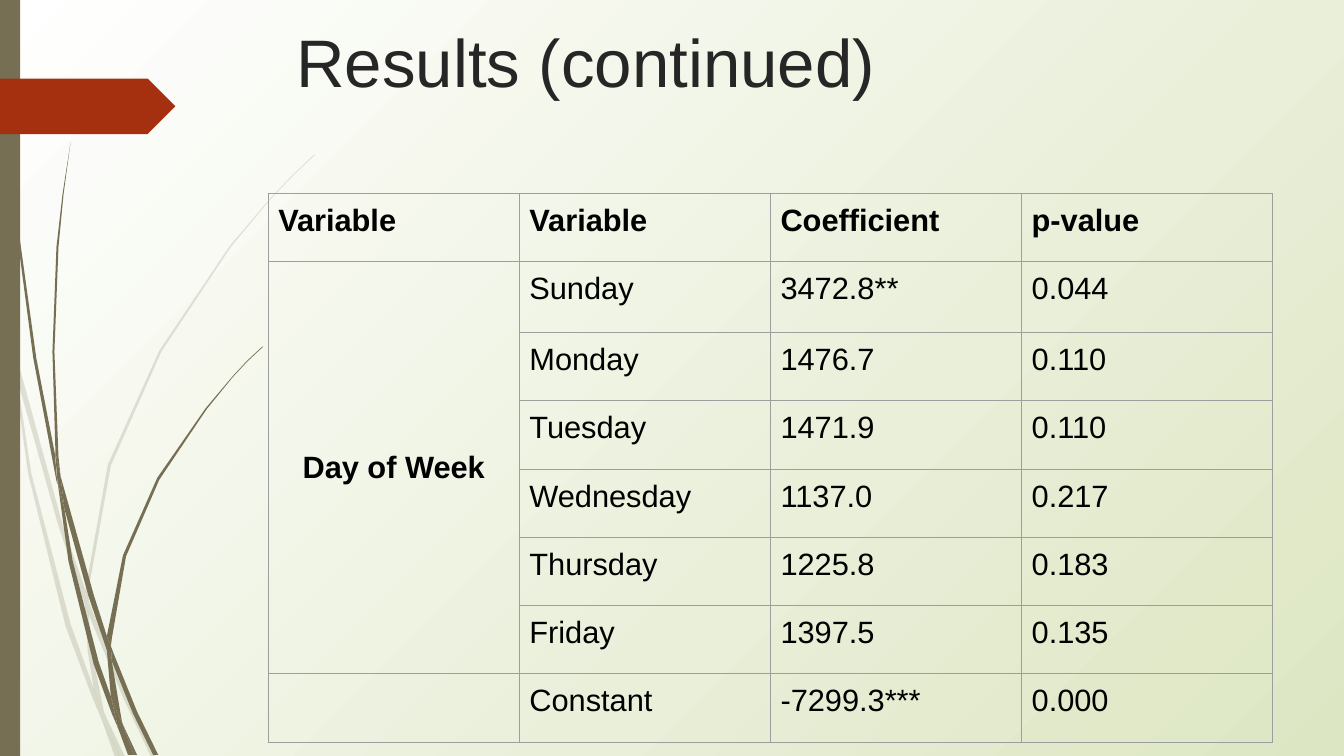
from lxml import etree
from pptx import Presentation
from pptx.dml.color import RGBColor
from pptx.enum.shapes import MSO_SHAPE
from pptx.enum.text import MSO_ANCHOR, PP_ALIGN
from pptx.oxml.ns import qn
from pptx.util import Emu, Inches, Pt

RECT, ARROW = MSO_SHAPE.RECTANGLE, MSO_SHAPE.PENTAGON
TOP, MIDDLE = MSO_ANCHOR.TOP, MSO_ANCHOR.MIDDLE
LEFT, CENTER = PP_ALIGN.LEFT, PP_ALIGN.CENTER
CELL = Inches(0.1)
OLIVE, RUST, GREY = "766F54", "A53010", "9E9E9E"

PALE = [
    [(1.1, 35), (0.9, 32.2), (0, 28.2), (0, 29.9), (1, 34.4)],
    [(5.8, 52.2), (8.4, 59.9), (8.5, 58.6), (6.2, 52), (1.4, 34.5), (1.7, 37.6)],
    [(9.2, 60.7), (8.8, 59.6), (8.8, 61), (12.3, 69.4), (15, 75.1), (15.5, 75.1),
     (12.7, 69.2)],
    [(11.9, 75.1), (12.4, 75.1), (10.5, 71.1)],
    [(9.3, 68.3), (7, 61.9), (3.1, 46.9), (1.7, 37.6), (1.1, 35), (2.8, 47),
     (6.5, 62.1), (9.2, 69.3), (10.1, 71.4), (9.9, 70.7)],
    [(8.4, 59.9), (8.7, 64.6), (9.3, 68.3), (9.6, 69.2), (10.5, 71.1),
     (10.3, 70.6), (9.1, 64.6), (8.8, 61), (8.8, 60.8)],
    [(8.8, 58.4), (11, 46.2), (16, 34.9), (22.9, 24.5), (26.8, 19.8), (29, 17.5),
     (31.2, 15.4), (31.2, 15.3), (28.9, 17.5), (26.8, 19.7), (22.8, 24.4),
     (15.8, 34.8), (10.7, 46.1), (8.5, 58.4), (8.5, 58.6), (8.8, 59.6)],
    [(10.1, 71.4), (11.4, 75.1), (11.9, 75.1)],
    [(8.8, 60.8), (8.8, 61), (8.8, 59.6), (8.5, 58.6), (8.4, 59.9)],
    [(9.6, 69.2), (9.3, 68.3), (9.9, 70.7), (10.1, 71.4), (11.9, 75.1), (10.5, 71.1)],
]
DARK = [
    [(0.7, 11), (1.7, 23.3), (3.3, 35.5), (5.6, 47.7), (5.7, 48.1), (5.5, 45.7),
     (5.5, 45.3), (3.6, 35.5), (1.9, 23.2), (0.8, 10.9), (0.5, 4.8), (0.4, 0),
     (0.3, 0), (0.4, 4.8)],
    [(8.8, 59.2), (10.6, 64.5), (10.6, 63.3), (10.6, 63.1), (9.3, 59), (6, 47.2),
     (6.4, 50.5)],
    [(11.3, 64.9), (11, 64.1), (11.1, 65.6), (13.2, 70.8), (15.2, 74.9),
     (15.7, 74.9), (13.6, 70.6)],
    [(11, 69.1), (9.8, 65.7), (7.2, 55.6), (6.4, 50.5), (5.7, 47.7), (6.8, 55.7),
     (9.3, 65.9), (11.1, 70.8), (11.7, 72.2), (11.6, 71.7)],
    [(6, 47.2), (5.8, 45.3), (5.4, 34.9), (5.8, 24.5), (6.3, 19.3), (7, 14.1),
     (6.2, 19.3), (5.6, 24.5), (5.2, 34.9), (5.5, 44.9)],
    [(13.3, 74.9), (13.6, 74.9), (12.2, 71.9)],
    [(5.7, 47.7), (6.4, 50.5), (6, 47.2), (5.5, 44.9), (5.5, 45.3)],
    [(11.1, 63.3), (12.5, 55.2), (15.8, 47.6), (20.5, 40.6), (23.1, 37.4),
     (24.5, 35.9), (26.1, 34.4), (26, 34.4), (24.5, 35.8), (23.1, 37.3),
     (20.4, 40.5), (15.6, 47.4), (12.2, 55.1), (10.6, 63.1), (11, 64.1)],
    [(11.7, 72.2), (12.7, 74.9), (13.1, 74.9)],
    [(10.6, 64.5), (11, 69.1), (11.6, 70.6), (12.2, 71.9), (12.1, 71.6),
     (11.1, 65.6), (10.9, 65.1)],
    [(10.6, 64.5), (10.9, 65.1), (11.1, 65.6), (11, 64.1), (10.6, 63.1), (10.6, 63.3)],
    [(11.6, 70.6), (11, 69.1), (11.6, 71.7), (11.7, 72.2), (13, 74.9), (13.3, 74.9),
     (12.2, 71.9)],
]
ROWS = [
    ("Variable", "Variable", "Coefficient", "p-value"),
    ("Day of Week", "Sunday", "3472.8**", "0.044"),
    ("", "Monday", "1476.7", "0.110"),
    ("", "Tuesday", "1471.9", "0.110"),
    ("", "Wednesday", "1137.0", "0.217"),
    ("", "Thursday", "1225.8", "0.183"),
    ("", "Friday", "1397.5", "0.135"),
    ("", "Constant", "-7299.3***", "0.000"),
]


def color(code):
    """Turn a hex string into a colour."""
    return RGBColor.from_string(code)


def grid(*cells):
    """Turn grid cells into lengths."""
    return [Emu(round(n * CELL)) for n in cells]


def write(frame, text, size=22, ink="000000", bold=False, align=LEFT):
    """Put formatted text in a frame."""
    frame.word_wrap = True
    para = frame.paragraphs[0]
    para.alignment = align
    para.font.size = Pt(size)
    if text:
        run = para.add_run()
        run.text = text
        run.font.name, run.font.size, run.font.bold = "Arial", Pt(size), bold
        run.font.color.rgb = color(ink)


def paint(shape, code, alpha=100):
    """Give a shape a plain fill with no line or shadow."""
    shape.shadow.inherit = False
    shape.fill.solid()
    shape.fill.fore_color.rgb = color(code)
    shape.line.fill.background()
    if alpha < 100:
        for tag in shape.element.spPr.iter(qn("a:srgbClr")):
            etree.SubElement(tag, qn("a:alpha"), val=str(alpha * 1000))


def blade(slide, box, edge, alpha):
    """Draw one piece of grass from its outline."""
    points = [grid(*point) for point in edge]
    pen = slide.shapes.build_freeform(*points[0], scale=1.0)
    pen.add_line_segments(points[1:], close=True)
    paint(pen.convert_to_shape(*grid(*box[:2])), OLIVE, alpha)


def decor(slide, box):
    """Draw the grass, the side bar and the arrow tag."""
    left, top, width, height = box
    for group, alpha in ((PALE, 20), (DARK, 100)):
        for edge in group:
            blade(slide, box, edge, alpha)
    bar = slide.shapes.add_shape(RECT, *grid(left, top, 2, height))
    paint(bar, OLIVE)
    tag = slide.shapes.add_shape(ARROW, *grid(left, top + 7.8, width, 5.5))
    paint(tag, RUST)


def title(slide, box):
    """Write the slide title."""
    frame = slide.shapes.add_textbox(*grid(*box)).text_frame
    frame.vertical_anchor = TOP
    frame.margin_top = frame.margin_bottom = CELL
    write(frame, "Results (continued)", size=48, ink="262626")


def border(cell):
    """Line all four sides of a cell."""
    props = cell._tc.get_or_add_tcPr()
    for n, side in enumerate(("lnL", "lnR", "lnT", "lnB")):
        line = etree.Element(qn("a:" + side), w=str(Pt(0.75)))
        fill = etree.SubElement(line, qn("a:solidFill"))
        etree.SubElement(fill, qn("a:srgbClr"), val=GREY)
        props.insert(n, line)


def results(slide, box):
    """Build the table of coefficients."""
    table = slide.shapes.add_table(len(ROWS), len(ROWS[0]), *grid(*box)).table
    table.first_row = table.horz_banding = False
    for n, row in enumerate(ROWS):
        table.rows[n].height = grid(7.04 if n == 1 else 6.77)[0]
        for m, text in enumerate(row):
            cell = table.cell(n, m)
            group = n == 1 and m == 0
            cell.margin_left = cell.margin_right = CELL
            cell.margin_top = cell.margin_bottom = CELL
            cell.vertical_anchor = MIDDLE if group else TOP
            cell.fill.background()
            border(cell)
            write(cell.text_frame, text, bold=n == 0 or group,
                  align=CENTER if group else LEFT)
    table.cell(1, 0).merge(table.cell(6, 0))


def backdrop(slide):
    """Fill the background with a glow from the top left corner."""
    fill = slide.background.fill
    fill.gradient()
    for stop, place, code in zip(fill.gradient_stops, (0, 1), ("FFFFFF", "DDE6C3")):
        stop.position = place
        stop.color.rgb = color(code)
    for line in list(slide.element.iter(qn("a:lin"))):
        glow = etree.Element(qn("a:path"), path="circle")
        etree.SubElement(glow, qn("a:fillToRect"), r="100000", b="100000")
        line.getparent().replace(line, glow)


deck = Presentation()
deck.slide_width, deck.slide_height = Inches(13.33), Inches(7.5)
page = deck.slides.add_slide(deck.slide_layouts[6])
backdrop(page)
decor(page, (0, 0, 17.4, 75))
title(page, (28.4, 1, 97.5, 14))
results(page, (26.6, 19.2, 99.64, 54.4))
deck.save("out.pptx")
